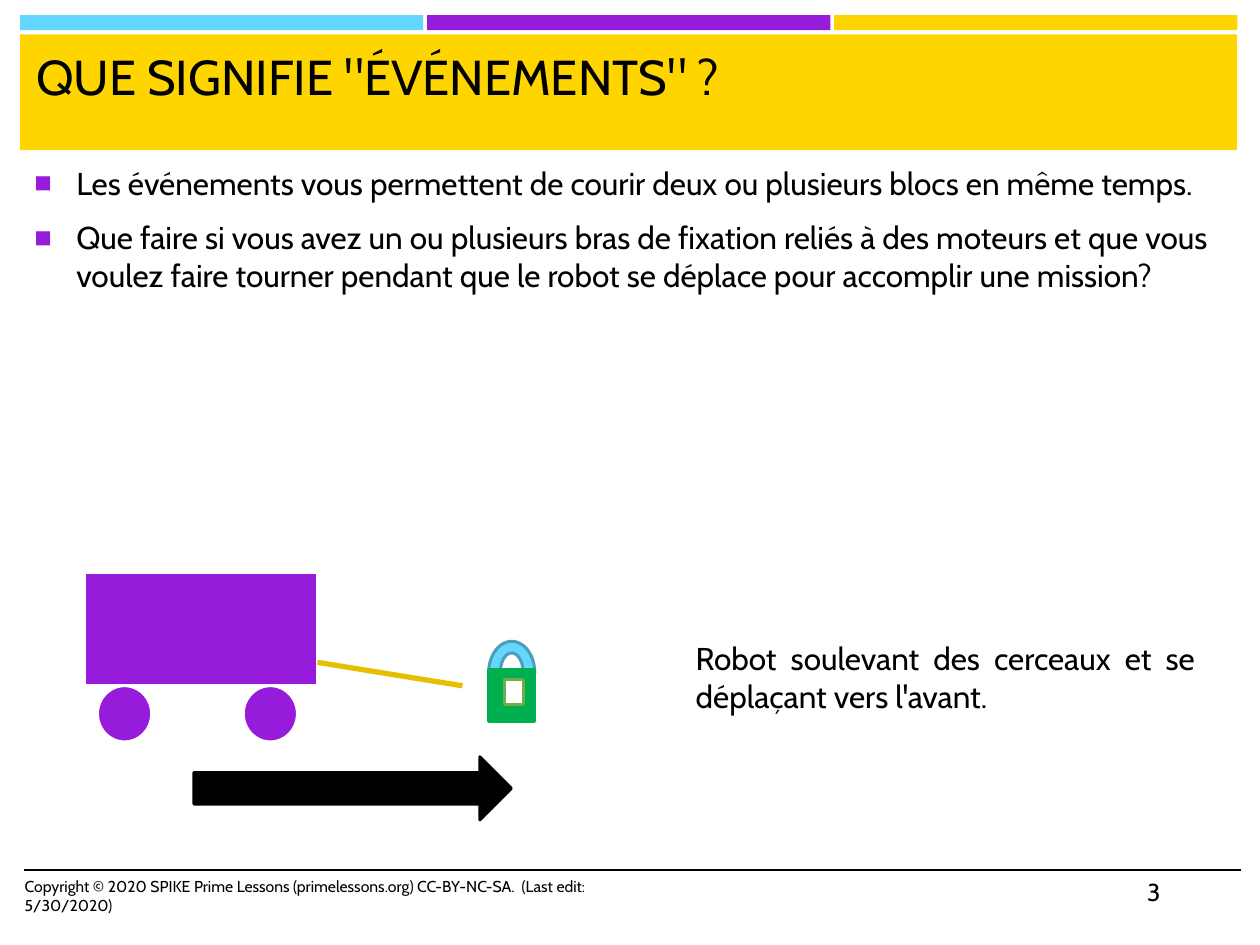
"""Builds the lesson slide that explains events."""
from lxml import etree
from pptx import Presentation
from pptx import util as u
from pptx.dml.color import RGBColor
from pptx.enum import shapes, text
from pptx.oxml import ns

Pt = u.Pt
Shape = shapes.MSO_SHAPE
BLACK = RGBColor(0x00, 0x00, 0x00)
WHITE = RGBColor(0xFF, 0xFF, 0xFF)
SKY = RGBColor(0x65, 0xD7, 0xFF)
STEEL = RGBColor(0x4B, 0x9F, 0xBD)
PURPLE = RGBColor(0x96, 0x1B, 0xDB)
YELLOW = RGBColor(0xFF, 0xD5, 0x00)
GOLD = RGBColor(0xE6, 0xC0, 0x00)
GREEN = RGBColor(0x00, 0xB0, 0x50)
LEAF = RGBColor(0x70, 0xAD, 0x47)


def apply(target, values):
    """Set every attribute named in a dict."""
    for name, value in values.items():
        setattr(target, name, value)


class Slide:
    """Hold the style and the current page, and draw each kind of element."""

    font = "Cabin"
    ink = BLACK
    accent = PURPLE
    line_width = 1.75

    def __init__(self, deck):
        """Add a title-only page."""
        self.page = deck.slides.add_slide(deck.slide_layouts[5])

    def place(self, box, left, top, width, height):
        """Move and size a box, in points."""
        apply(box, {"left": Pt(left), "top": Pt(top),
                    "width": Pt(width), "height": Pt(height)})

    def fill_frame(self, frame, paragraphs, size, bullet=None, **layout):
        """Fill a text frame with styled paragraphs."""
        apply(frame, {"word_wrap": True, "auto_size": text.MSO_AUTO_SIZE.NONE,
                      "vertical_anchor": text.MSO_ANCHOR.TOP})
        for index, words in enumerate(paragraphs):
            para = frame.add_paragraph() if index else frame.paragraphs[0]
            if bullet:
                self.bullet(para, bullet)
            apply(para, {"alignment": text.PP_ALIGN.LEFT, **layout})
            para.space_before = Pt(0.2 * size if bullet and index else 0)
            span = para.add_run()
            span.text = words
            apply(span.font, {"name": self.font, "size": Pt(size)})
            span.font.color.rgb = self.ink

    def bullet(self, para, mark, indent=24):
        """Give a paragraph a coloured hanging bullet."""
        props = para._p.get_or_add_pPr()
        props.set("marL", str(Pt(indent)))
        props.set("indent", str(-Pt(indent)))
        color = etree.SubElement(props, ns.qn("a:buClr"))
        etree.SubElement(color, ns.qn("a:srgbClr"), val=str(self.accent))
        etree.SubElement(props, ns.qn("a:buSzPct"), val="92000")
        etree.SubElement(props, ns.qn("a:buFont"), typeface="Arial")
        etree.SubElement(props, ns.qn("a:buChar"), char=mark)

    def title(self, words, size, *place):
        """Bring the title placeholder to the front and fill it."""
        box = self.page.shapes.title
        box.element.getparent().append(box.element)
        self.place(box, *place)
        self.fill_frame(box.text_frame, [words], size)

    def text(self, paragraphs, size, *place, **layout):
        """Add a text box."""
        box = self.page.shapes.add_textbox(0, 0, 0, 0)
        self.place(box, *place)
        self.fill_frame(box.text_frame, paragraphs, size, **layout)

    def shape(self, kind, fill, line, *place, group=None):
        """Add a filled shape to the page or to a group."""
        home = group.shapes if group else self.page.shapes
        box = home.add_shape(kind, *map(Pt, place))
        box.shadow.inherit = False
        box.fill.solid()
        box.fill.fore_color.rgb = fill
        if line is None:
            box.line.fill.background()
        else:
            box.line.color.rgb = line
            box.line.width = Pt(self.line_width)

    def line(self, color, width, *ends):
        """Add a straight line."""
        rule = self.page.shapes.add_connector(
            shapes.MSO_CONNECTOR.STRAIGHT, *map(Pt, ends))
        rule.line.color.rgb = color
        rule.line.width = Pt(width)
        etree.SubElement(rule._element.spPr, ns.qn("a:effectLst"))

    def group(self):
        """Add an empty group."""
        return self.page.shapes.add_group_shape()


def main():
    """Build and save the deck."""
    deck = Presentation()
    apply(deck, {"slide_width": Pt(720), "slide_height": Pt(540)})
    slide = Slide(deck)

    for column, color in enumerate((SKY, PURPLE, YELLOW)):
        slide.shape(Shape.RECTANGLE, color, None,
                    11.5 + 232.6 * column, 8.6, 230.4, 8.6)
    slide.shape(Shape.RECTANGLE, YELLOW, None, 11.5, 19.6, 695.3, 66.2)
    slide.line(BLACK, 1, 13.5, 497.3, 709.4, 497.3)

    slide.title('QUE SIGNIFIE "ÉVÉNEMENTS" ?', 28, 13.5, 23, 689, 59)
    slide.text([
        "Les événements vous permettent de courir deux ou plusieurs blocs "
        "en même temps.",
        "Que faire si vous avez un ou plusieurs bras de fixation reliés à des "
        "moteurs et que vous voulez faire tourner pendant que le robot se "
        "déplace pour accomplir une mission?",
    ], 18, 12.5, 90, 695.3, 400, bullet="■", space_after=Pt(6))
    slide.text(["Copyright © 2020 SPIKE Prime Lessons (primelessons.org) "
                "CC-BY-NC-SA.  (Last edit: 5/30/2020)"],
               9, 7, 497.5, 384, 29)
    slide.text(["Robot soulevant des cerceaux et se déplaçant vers l'avant."],
               18, 390.5, 361.5, 299.5, 51, alignment=text.PP_ALIGN.JUSTIFY)

    robot = slide.group()
    slide.shape(Shape.RECTANGLE, PURPLE, WHITE, 48.3, 327.3, 133.3, 64.3,
                group=robot)
    for left in (55.7, 139):
        slide.shape(Shape.OVAL, PURPLE, WHITE, left, 391.8, 31, 32.2,
                    group=robot)

    padlock = slide.group()
    slide.shape(Shape.BLOCK_ARC, SKY, STEEL, 279.2, 366.5, 26.4, 36,
                group=padlock)
    slide.shape(Shape.RECTANGLE, GREEN, GREEN, 279.2, 382.6, 26.4, 30,
                group=padlock)
    slide.shape(Shape.RECTANGLE, WHITE, LEAF, 288.2, 388.3, 11, 14.4,
                group=padlock)

    slide.line(GOLD, 3, 181.4, 378.5, 264.3, 391.9)
    slide.shape(Shape.RIGHT_ARROW, BLACK, BLACK, 110.8, 432.5, 181.4, 36)
    slide.text(["3"], 14, 648.5, 497.5, 60.5, 29)
    deck.save("out.pptx")


if __name__ == "__main__":
    main()
